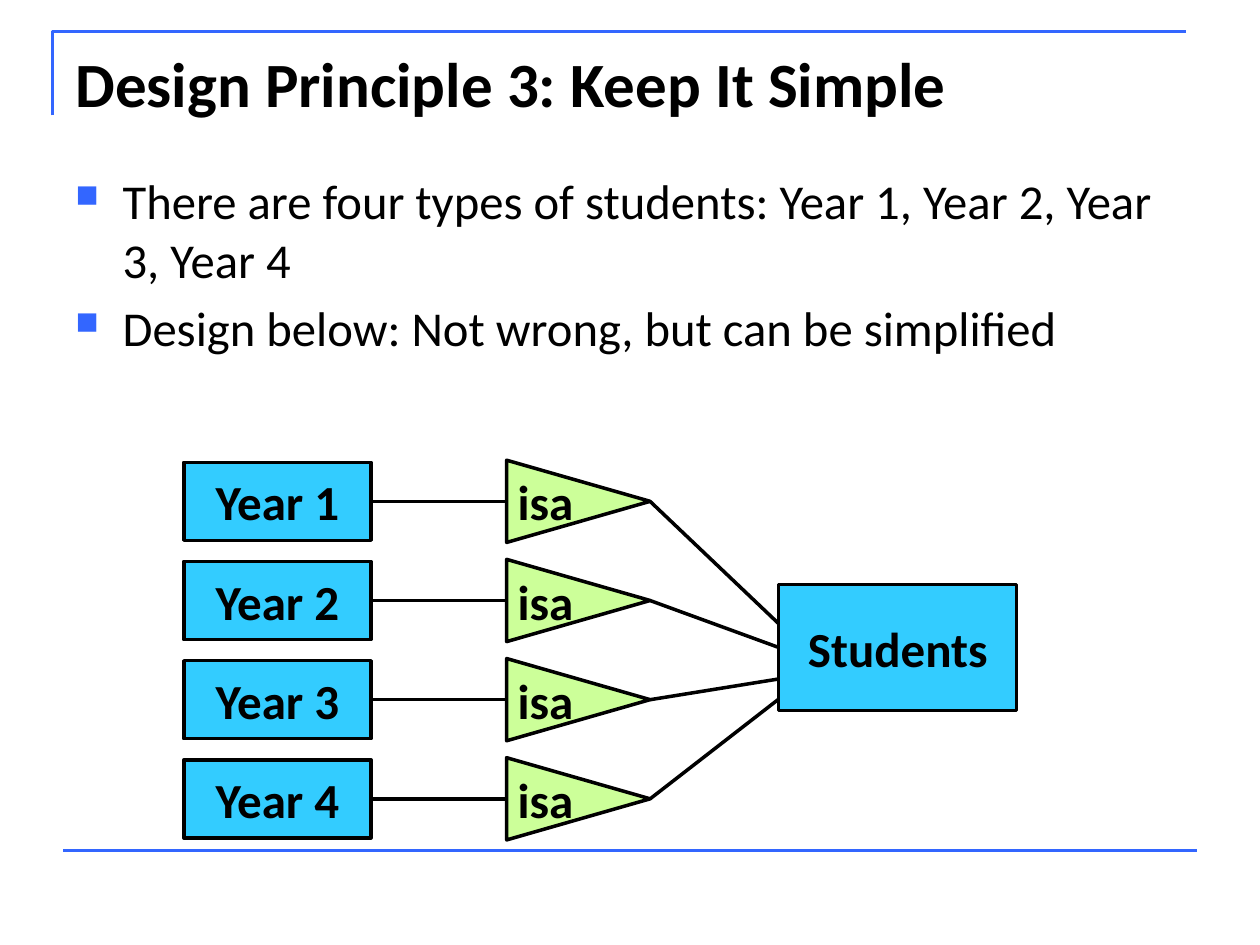
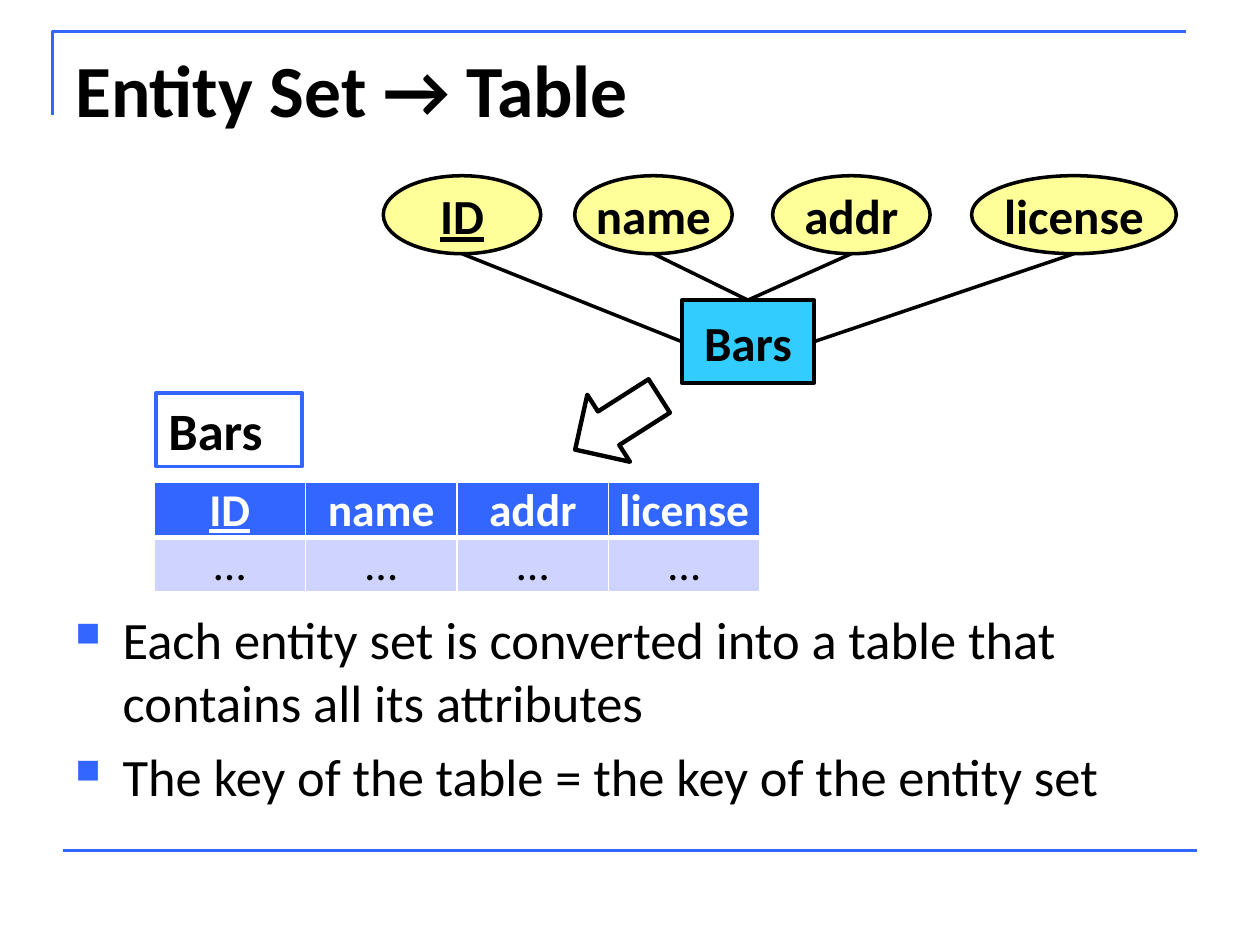
from collections import namedtuple

from lxml.etree import SubElement
from pptx import Presentation
from pptx.dml.color import RGBColor
from pptx.enum.shapes import MSO_CONNECTOR, MSO_SHAPE
from pptx.enum.text import MSO_ANCHOR, PP_ALIGN
from pptx.oxml.ns import qn
from pptx.util import Pt

BLACK = RGBColor(0x00, 0x00, 0x00)
WHITE = RGBColor(0xFF, 0xFF, 0xFF)
ACCENT = RGBColor(0x33, 0x66, 0xFF)
ENTITY_FILL = RGBColor(0x33, 0xCC, 0xFF)
ATTRIBUTE_FILL = RGBColor(0xFF, 0xFF, 0x99)
ISA_FILL = RGBColor(0xCC, 0xFF, 0x99)
ROW_FILL = RGBColor(0xCE, 0xD3, 0xFF)
FONT = "Calibri"
LABEL_SIZE = 28

Box = namedtuple("Box", "left top width height")
FRAME = Box(30, 18, 648, 48)
FOOTER_LINE = Box(36, 486, 648, 0)
TITLE = Box(36, 21.6, 648, 90)


def lengths(box):
    return [Pt(value) for value in box]


def style_font(paragraph, size, bold=False, color=BLACK, underline=False):
    font = paragraph.font
    font.name = FONT
    font.size = Pt(size)
    font.bold = bold
    font.underline = underline
    font.color.rgb = color


def set_insets(target, horizontal, vertical):
    target.margin_left = target.margin_right = Pt(horizontal)
    target.margin_top = target.margin_bottom = Pt(vertical)


def add_line(slide, start, end, color=BLACK, width=2):
    connector = slide.shapes.add_connector(
        MSO_CONNECTOR.STRAIGHT, *lengths(start), *lengths(end))
    connector.line.color.rgb = color
    connector.line.width = Pt(width)
    SubElement(connector._element.spPr, qn("a:effectLst"))
    return connector


def add_node(slide, kind, box, fill, line=BLACK, width=2):
    shape = slide.shapes.add_shape(kind, *lengths(box))
    shape.shadow.inherit = False
    if fill is None:
        shape.fill.background()
    else:
        shape.fill.solid()
        shape.fill.fore_color.rgb = fill
    shape.line.color.rgb = line
    shape.line.width = Pt(width)
    return shape


def add_label(shape, text, size=LABEL_SIZE, align=PP_ALIGN.CENTER, underline=False):
    frame = shape.text_frame
    frame.word_wrap = False
    frame.vertical_anchor = MSO_ANCHOR.MIDDLE
    paragraph = frame.paragraphs[0]
    paragraph.text = text
    paragraph.alignment = align
    style_font(paragraph, size, bold=True, underline=underline)
    return paragraph


def add_frame(slide):
    left, top, width, height = lengths(FRAME)
    builder = slide.shapes.build_freeform(left, top + height)
    builder.add_line_segments([(left, top), (left + width, top)], close=False)
    corner = builder.convert_to_shape()
    corner.shadow.inherit = False
    corner.fill.background()
    corner.line.color.rgb = ACCENT
    corner.line.width = Pt(1.5)
    add_line(slide, FOOTER_LINE[:2],
             (FOOTER_LINE.left + FOOTER_LINE.width, FOOTER_LINE.top), ACCENT, 1.5)


def add_title(slide, text, size):
    frame = slide.shapes.add_textbox(*lengths(TITLE)).text_frame
    frame.word_wrap = True
    frame.paragraphs[0].text = text
    style_font(frame.paragraphs[0], size, bold=True)


def add_bullets(slide, box, texts, size):
    frame = slide.shapes.add_textbox(*lengths(box)).text_frame
    frame.word_wrap = True
    for index, text in enumerate(texts):
        paragraph = frame.add_paragraph() if index else frame.paragraphs[0]
        paragraph.text = text
        properties = paragraph._p.get_or_add_pPr()
        properties.set("marL", str(Pt(27)))
        properties.set("indent", str(-Pt(27)))
        color = SubElement(properties, qn("a:buClr"))
        SubElement(color, qn("a:srgbClr"), val=str(ACCENT))
        SubElement(properties, qn("a:buSzPct"), val="65000")
        SubElement(properties, qn("a:buChar"), char="■")
        if index:
            paragraph.space_before = Pt(0.2 * size)
        style_font(paragraph, size)


def add_isa_triangle(slide, box):
    center_x = box.left + box.width / 2
    center_y = box.top + box.height / 2
    upright = Box(center_x - box.height / 2, center_y - box.width / 2,
                  box.height, box.width)
    triangle = add_node(slide, MSO_SHAPE.ISOSCELES_TRIANGLE, upright, ISA_FILL)
    triangle.rotation = 90
    set_insets(triangle.text_frame, 0, 0)
    paragraph = add_label(triangle, "isa", align=PP_ALIGN.LEFT)
    paragraph._p.get_or_add_pPr().set("marL", str(Pt(6.3)))
    triangle.text_frame._txBody.bodyPr.set("vert", "vert270")


def add_subclass_diagram(slide, box):
    year_width, year_height = 107, 44.6
    isa_left, isa_width, isa_height = box.left + 184.5, 82, 47
    students_box = Box(box.left + box.width - 136, box.top + 69.8, 136, 72)
    students = add_node(slide, MSO_SHAPE.RECTANGLE, students_box, ENTITY_FILL)
    add_label(students, "Students")
    middle = students_box.height / 2
    arrivals = [22.4, middle, 54, 65.5]
    pitch = (box.height - year_height) / (len(arrivals) - 1)
    for index, arrival in enumerate(arrivals):
        top = box.top + index * pitch
        center = top + year_height / 2
        year = add_node(slide, MSO_SHAPE.RECTANGLE,
                        Box(box.left, top, year_width, year_height), ENTITY_FILL)
        add_label(year, f"Year {index + 1}")
        add_isa_triangle(slide, Box(isa_left, center - isa_height / 2,
                                    isa_width, isa_height))
        year_line = add_line(slide, (box.left + year_width, center), (isa_left, center))
        year_line.begin_connect(year, 3)
        students_line = add_line(slide, (isa_left + isa_width, center),
                                 (students_box.left, students_box.top + arrival))
        if arrival == middle:
            students_line.end_connect(students, 1)


def add_attribute_diagram(slide, box):
    attribute_height = 44.6
    entity_box = Box(box.left + 170.6, box.top + 71.1, 75.6, 47.5)
    entity = add_node(slide, MSO_SHAPE.RECTANGLE, entity_box, ENTITY_FILL)
    add_label(entity, "Bars")
    attributes = [("ID", 0, 90, 1), ("name", 109.4, 90, 0),
                  ("addr", 222.5, 90, 0), ("license", 336.2, 117, 3)]
    for name, offset, width, side in attributes:
        left = box.left + offset
        ellipse = add_node(slide, MSO_SHAPE.OVAL,
                           Box(left, box.top, width, attribute_height), ATTRIBUTE_FILL)
        add_label(ellipse, name, underline=name == "ID")
        line = add_line(slide, (left + width / 2, box.top + attribute_height),
                        entity_box[:2])
        line.end_connect(entity, side)


def add_cell_borders(cell, bottom_width):
    properties = cell._tc.get_or_add_tcPr()
    for side, width in (("L", 1), ("R", 1), ("T", 1), ("B", bottom_width)):
        border = SubElement(properties, qn(f"a:ln{side}"), w=str(Pt(width)))
        fill = SubElement(border, qn("a:solidFill"))
        SubElement(fill, qn("a:srgbClr"), val=str(WHITE))


def add_relation_table(slide, box):
    rows = [["ID", "name", "addr", "license"], ["…"] * 4]
    table = slide.shapes.add_table(len(rows), len(rows[0]), *lengths(box)).table
    for column in table.columns:
        column.width = Pt(box.width / len(rows[0]))
    for row_index, row in enumerate(rows):
        header = row_index == 0
        table.rows[row_index].height = Pt(box.height / len(rows))
        for column_index, text in enumerate(row):
            cell = table.cell(row_index, column_index)
            add_cell_borders(cell, 3 if header else 1)
            cell.fill.solid()
            cell.fill.fore_color.rgb = ACCENT if header else ROW_FILL
            set_insets(cell, 6, 0)
            paragraph = cell.text_frame.paragraphs[0]
            paragraph.text = text
            paragraph.alignment = PP_ALIGN.CENTER
            style_font(paragraph, 26, header, WHITE if header else BLACK, text == "ID")


def add_relation(slide, box):
    name = add_node(slide, MSO_SHAPE.RECTANGLE,
                    Box(box.left + 1.2, box.top, 83.5, 42), WHITE, ACCENT)
    add_label(name, "Bars", 30, PP_ALIGN.LEFT)
    set_insets(name.text_frame, 7.2, 2.9)
    name.text_frame.vertical_anchor = MSO_ANCHOR.TOP
    add_relation_table(slide, Box(box.left, box.top + 51.2, box.width, 62.6))
    arrow = add_node(slide, MSO_SHAPE.DOWN_ARROW,
                     Box(box.left + 242, box.top - 11.5, 45.4, 57), None, width=2.5)
    arrow.rotation = 57.5


def add_slide(presentation, title, title_size):
    slide = presentation.slides.add_slide(presentation.slide_layouts[6])
    add_frame(slide)
    add_title(slide, title, title_size)
    return slide


def add_simplicity_slide(presentation):
    slide = add_slide(presentation, "Design Principle 3: Keep It Simple", 36)
    add_bullets(slide, Box(36, 94.3, 648, 108), [
        "There are four types of students: Year 1, Year 2, Year 3, Year 4",
        "Design below: Not wrong, but can be simplified",
    ], 27.8)
    add_subclass_diagram(slide, Box(105, 264.2, 476, 214.6))


def add_entity_slide(presentation):
    slide = add_slide(presentation, "Entity Set → Table", 42)
    add_bullets(slide, Box(36, 343.5, 648, 139), [
        "Each entity set is converted into a table that contains all its attributes",
        "The key of the table = the key of the entity set",
    ], 30)
    add_attribute_diagram(slide, Box(219, 100.4, 453.2, 118.6))
    add_relation(slide, Box(88, 224.6, 346.4, 113.8))


def main():
    presentation = Presentation()
    presentation.slide_width = Pt(720)
    presentation.slide_height = Pt(540)
    add_simplicity_slide(presentation)
    add_entity_slide(presentation)
    presentation.save("out.pptx")


if __name__ == "__main__":
    main()
